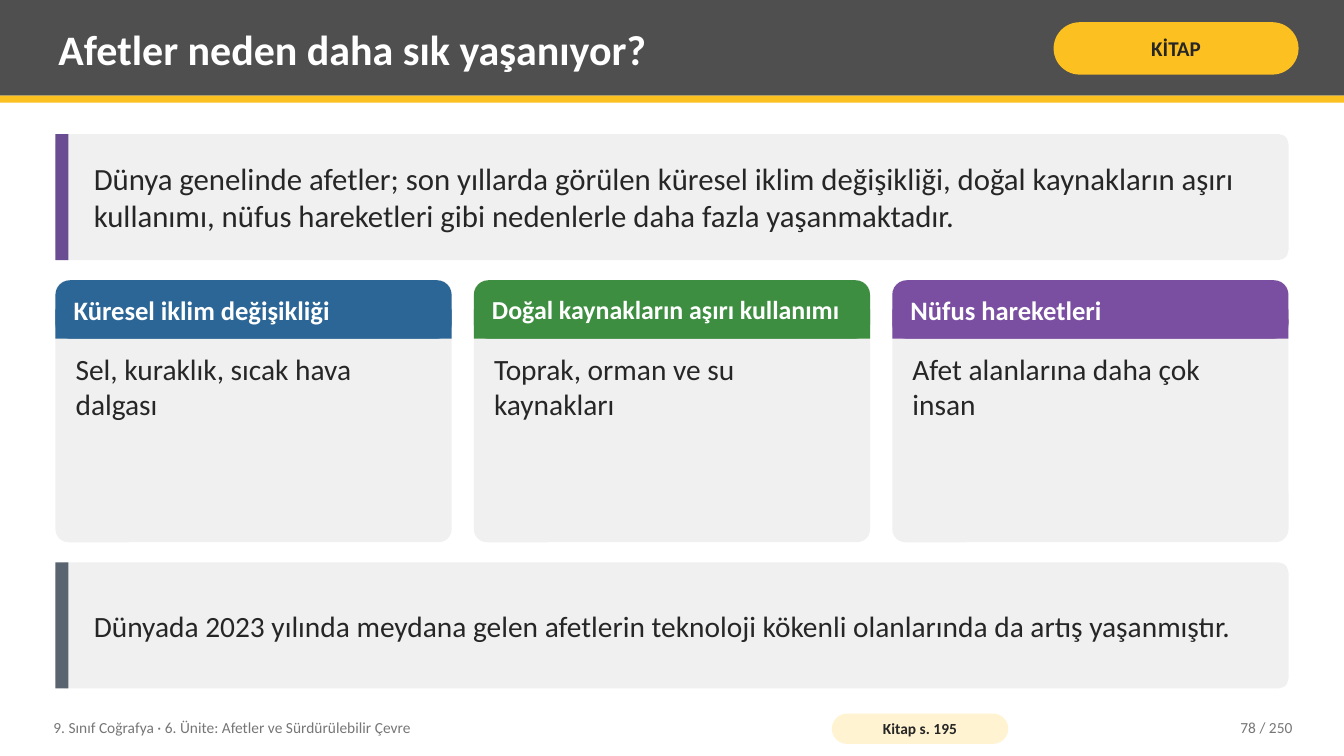
from dataclasses import dataclass

from pptx import Presentation
from pptx.dml.color import RGBColor
from pptx.enum.shapes import MSO_SHAPE
from pptx.enum.text import MSO_ANCHOR, MSO_AUTO_SIZE, PP_ALIGN
from pptx.util import Inches, Pt

RECT, ROUND = MSO_SHAPE.RECTANGLE, MSO_SHAPE.ROUNDED_RECTANGLE
TOP, MIDDLE = MSO_ANCHOR.TOP, MSO_ANCHOR.MIDDLE
LEFT, CENTER, RIGHT = PP_ALIGN.LEFT, PP_ALIGN.CENTER, PP_ALIGN.RIGHT
NO_FIT = MSO_AUTO_SIZE.NONE


@dataclass(frozen=True)
class Theme:
    font: str = "Calibri"
    header: str = "4F4F4F"
    accent: str = "FCC021"
    pale: str = "FFF3D1"
    panel: str = "F0F0F0"
    ink: str = "262626"
    muted: str = "767676"
    white: str = "FFFFFF"
    blue: str = "2C6696"
    green: str = "3E8E41"
    purple: str = "7A4EA0"
    violet: str = "6A4C93"
    slate: str = "5A6470"
    title: float = 30
    lead: float = 22
    body: float = 21
    heading: float = 19
    heading_small: float = 18.5
    badge: float = 15
    small: float = 11


THEME = Theme()
WIDTH, HEIGHT = 13.33, 7.5
MARGIN, CONTENT_W = 0.55, 12.23
GAP = 0.22
INSETS = (0.08, 0.04)


def add_block(slide, kind, box, color, radius=None):
    sp = slide.shapes.add_shape(kind, *map(Inches, box))
    sp.shadow.inherit = False
    sp.fill.solid()
    sp.fill.fore_color.rgb = RGBColor.from_string(color)
    sp.line.fill.background()
    if radius is not None:
        sp.adjustments[0] = radius
    return sp


def write(sp, text, size, color, bold=False, align=LEFT, anchor=MIDDLE, insets=INSETS):
    tf = sp.text_frame
    tf.word_wrap = True
    tf.auto_size = NO_FIT
    tf.vertical_anchor = anchor
    tf.margin_left = tf.margin_right = Inches(insets[0])
    tf.margin_top = tf.margin_bottom = Inches(insets[1])
    p = tf.paragraphs[0]
    p.alignment = align
    r = p.add_run()
    r.text = text
    r.font.name = THEME.font
    r.font.size = Pt(size)
    r.font.bold = bold
    r.font.color.rgb = RGBColor.from_string(color)


def add_text(slide, box, *args, **kwargs):
    write(slide.shapes.add_textbox(*map(Inches, box)), *args, **kwargs)


def add_pill(slide, box, fill, text, size, insets):
    sp = add_block(slide, ROUND, box, fill, 0.5)
    write(sp, text, size, THEME.ink, bold=True, align=CENTER, insets=insets)


def add_header(slide, box, title, badge):
    x, y, w, h = box
    add_block(slide, RECT, box, THEME.header)
    add_block(slide, RECT, (x, y + h, w, 0.07), THEME.accent)
    sp = slide.shapes.title
    sp.left, sp.top, sp.width, sp.height = map(Inches, (x + 0.5, y + 0.07, 9.75, 0.82))
    write(sp, title, THEME.title, THEME.white, bold=True)
    slide.shapes._spTree.append(sp._element)
    add_pill(slide, (x + w - 2.88, y + 0.22, 2.43, 0.52), THEME.accent, badge,
             THEME.badge, (0.05, 0.02))


def add_callout(slide, box, color, text, size):
    x, y, w, h = box
    add_block(slide, ROUND, box, THEME.panel, 0.08)
    add_block(slide, RECT, (x, y, 0.13, h), color)
    add_text(slide, (x + 0.3, y, w - 0.45, h), text, size, THEME.ink)


def add_card(slide, box, color, heading, size, text):
    x, y, w, h = box
    bar = 0.58
    add_block(slide, ROUND, box, THEME.panel, 0.05)
    add_block(slide, ROUND, (x, y, w, bar), color, 0.25)
    add_block(slide, RECT, (x, y + bar / 2, w, bar / 2), color)
    add_text(slide, (x + 0.1, y, w - 0.2, bar), heading, size, THEME.white, bold=True)
    add_text(slide, (x + 0.12, y + bar + 0.08, w - 0.24, h - bar - 0.16), text,
             THEME.body, THEME.ink, anchor=TOP)


def add_cards(slide, box, cards):
    x, y, w, h = box
    card_w = (w - GAP * (len(cards) - 1)) / len(cards)
    for i, card in enumerate(cards):
        add_card(slide, (x + i * (card_w + GAP), y, card_w, h), *card)


def add_footer(slide, box, unit, source, page):
    x, y, w, h = box
    add_text(slide, (x, y, 7.6, h), unit, THEME.small, THEME.muted)
    add_pill(slide, (x + 7.8, y + 0.04, 1.75, 0.3), THEME.pale, source,
             THEME.small, (0.04, 0))
    add_text(slide, (x + w - 1.6, y, 1.6, h), page, THEME.small, THEME.muted, align=RIGHT)


def main():
    prs = Presentation()
    prs.slide_width, prs.slide_height = Inches(WIDTH), Inches(HEIGHT)
    slide = prs.slides.add_slide(prs.slide_layouts[5])
    add_header(slide, (0, 0, WIDTH, 0.95), "Afetler neden daha sık yaşanıyor?", "KİTAP")
    add_callout(
        slide, (MARGIN, 1.33, CONTENT_W, 1.25), THEME.violet,
        "Dünya genelinde afetler; son yıllarda görülen küresel iklim değişikliği, "
        "doğal kaynakların aşırı kullanımı, nüfus hareketleri gibi nedenlerle "
        "daha fazla yaşanmaktadır.", THEME.lead)
    add_cards(slide, (MARGIN, 2.78, CONTENT_W, 2.6), [
        (THEME.blue, "Küresel iklim değişikliği", THEME.heading,
         "Sel, kuraklık, sıcak hava dalgası"),
        (THEME.green, "Doğal kaynakların aşırı kullanımı", THEME.heading_small,
         "Toprak, orman ve su kaynakları"),
        (THEME.purple, "Nüfus hareketleri", THEME.heading,
         "Afet alanlarına daha çok insan"),
    ])
    add_callout(
        slide, (MARGIN, 5.58, CONTENT_W, 1.25), THEME.slate,
        "Dünyada 2023 yılında meydana gelen afetlerin teknoloji kökenli "
        "olanlarında da artış yaşanmıştır.", THEME.body)
    add_footer(slide, (0.45, 7.04, 12.45, 0.36),
               "9. Sınıf Coğrafya · 6. Ünite: Afetler ve Sürdürülebilir Çevre",
               "Kitap s. 195", "78 / 250")
    prs.save("out.pptx")


if __name__ == "__main__":
    main()
